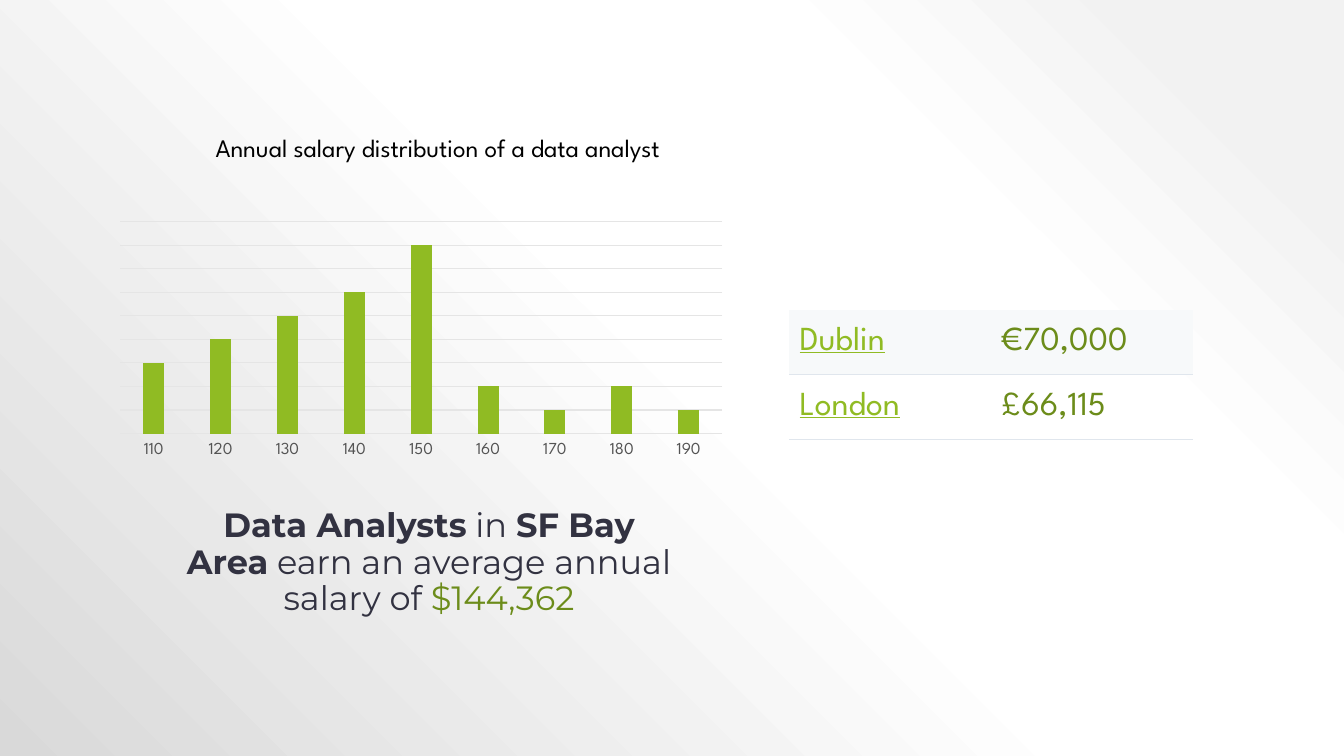
from dataclasses import dataclass

from lxml import etree
from pptx import Presentation
from pptx.chart.chart import Chart
from pptx.chart.data import CategoryChartData
from pptx.dml.color import RGBColor
from pptx.enum.chart import XL_CHART_TYPE, XL_TICK_LABEL_POSITION, XL_TICK_MARK
from pptx.enum.text import MSO_ANCHOR, MSO_AUTO_SIZE, PP_ALIGN
from pptx.oxml import parse_xml
from pptx.oxml.ns import qn
from pptx.slide import Slide
from pptx.table import _Cell
from pptx.util import Inches, Pt

COLUMN = XL_CHART_TYPE.COLUMN_CLUSTERED
NO_TICK = XL_TICK_MARK.NONE
LOW = XL_TICK_LABEL_POSITION.LOW
MIDDLE = MSO_ANCHOR.MIDDLE
CENTER = PP_ALIGN.CENTER
GROW = MSO_AUTO_SIZE.SHAPE_TO_FIT_TEXT

HEX = {
    "lime": "90BB23", "olive": "6C8C1A", "ink": "323241", "gray": "545454",
    "black": "000000", "grid": "E5E5E5", "rule": "E0E6ED", "band": "F7F9FA",
}
SPARTAN = "League Spartan"
MONT = "Montserrat"

BACK_STOPS = ((10, "F2F2F2"), (28, "FFFFFF"), (48, "FFFFFF"), (100, "D9D9D9"))
SALARY_COUNTS = {
    "110": 3, "120": 4, "130": 5, "140": 6, "150": 8,
    "160": 2, "170": 1, "180": 2, "190": 1,
}


@dataclass
class Run:
    text: str
    color: str = "ink"
    bold: bool = False


@dataclass
class City:
    name: str
    pay: str


CITIES = (City("Dublin", "€70,000"), City("London", "£66,115"))
SUMMARY = (
    Run("Data Analysts", bold=True),
    Run(" in "),
    Run("SF Bay Area", bold=True),
    Run(" earn an average annual salary of "),
    Run("$144,362", "olive"),
)


def rgb(name: str) -> RGBColor:
    return RGBColor.from_string(HEX[name])


def set_all(target: object, values: dict) -> None:
    for key, value in values.items():
        setattr(target, key, value)


def set_font(font: object, color: str, **values: object) -> None:
    set_all(font, values)
    font.color.rgb = rgb(color)


def set_line(line: object, color: str) -> None:
    line.width = Pt(0.75)
    line.color.rgb = rgb(color)


def add_back(slide: Slide) -> None:
    """Fill the slide with a gradient that spreads from its top right corner."""
    stops = "".join(
        f'<a:gs pos="{at * 1000}"><a:srgbClr val="{color}"/></a:gs>'
        for at, color in BACK_STOPS
    )
    back = parse_xml(
        '<p:bg xmlns:p="http://schemas.openxmlformats.org/presentationml/2006/main"'
        ' xmlns:a="http://schemas.openxmlformats.org/drawingml/2006/main">'
        f'<p:bgPr><a:gradFill rotWithShape="1"><a:gsLst>{stops}</a:gsLst>'
        '<a:path path="circle"><a:fillToRect l="100000" b="100000"/></a:path>'
        "</a:gradFill><a:effectLst/></p:bgPr></p:bg>"
    )
    slide.element.cSld.insert(0, back)


def place(parent: object, spots: dict, inner: bool = False) -> None:
    """Give a chart part a manual layout in fractions of the chart."""
    layout = parent.find(qn("c:layout"))
    if layout is None:
        layout = etree.Element(qn("c:layout"))
        text = parent.find(qn("c:tx"))
        parent.insert(0 if text is None else 1, layout)
    manual = etree.SubElement(layout, qn("c:manualLayout"))
    values = {"layoutTarget": "inner"} if inner else {}
    values |= {"xMode": "edge", "yMode": "edge"} | spots
    for tag, value in values.items():
        etree.SubElement(manual, qn(f"c:{tag}")).set("val", str(value))


def add_title(chart: Chart) -> None:
    chart.has_title = True
    title = chart.chart_title
    para = title.text_frame.paragraphs[0]
    run = para.add_run()
    run.text = "Annual salary distribution of a data analyst"
    set_font(run.font, "black", name=SPARTAN, size=Pt(18), bold=False)
    title.include_in_layout = False
    place(title._element, {"x": 0.16, "y": 0.04})


def add_chart(slide: Slide) -> None:
    data = CategoryChartData()
    data.categories = list(SALARY_COUNTS)
    data.add_series("Series 1", list(SALARY_COUNTS.values()))
    box = map(Inches, (1.08, 1.17, 6.33, 3.58))
    chart = slide.shapes.add_chart(COLUMN, *box, data).chart
    chart.has_legend = False
    set_font(chart.font, "gray", name=SPARTAN, size=Pt(10))
    add_title(chart)

    plot = chart.plots[0]
    set_all(plot, {"gap_width": 219, "overlap": -27, "vary_by_categories": False})
    fill = plot.series[0].format.fill
    fill.solid()
    fill.fore_color.rgb = rgb("lime")

    base = chart.category_axis
    set_all(base, {"major_tick_mark": NO_TICK, "minor_tick_mark": NO_TICK,
                   "tick_label_position": LOW})
    set_font(base.tick_labels.font, "gray", name=SPARTAN, size=Pt(12))
    set_line(base.format.line, "grid")

    scale = chart.value_axis
    set_all(scale, {"minimum_scale": 0, "maximum_scale": 9, "major_unit": 1,
                    "has_major_gridlines": True, "visible": False})
    set_line(scale.major_gridlines.format.line, "grid")
    area = chart._chartSpace.chart.plotArea
    place(area, {"x": 0.018, "y": 0.288, "w": 0.943, "h": 0.587}, inner=True)


def set_edges(cell: _Cell, ruled: str) -> None:
    """Rule the sides named in ruled and clear the other ones."""
    props = cell._tc.get_or_add_tcPr()
    for side in "LRTB":
        edge = etree.SubElement(props, qn(f"a:ln{side}"), w=str(Pt(0.75)))
        if side in ruled:
            paint = etree.SubElement(edge, qn("a:solidFill"))
            etree.SubElement(paint, qn("a:srgbClr"), val=HEX["rule"])
        else:
            etree.SubElement(edge, qn("a:noFill"))


def add_table(slide: Slide) -> None:
    box = map(Inches, (7.83, 3.08, 4, 1.28))
    table = slide.shapes.add_table(len(CITIES), 2, *box).table
    set_all(table, {"first_row": False, "horz_banding": False})
    for row, city in enumerate(CITIES):
        looks = ((city.name, "lime", True), (city.pay, "olive", False))
        for col, (text, color, under) in enumerate(looks):
            cell = table.cell(row, col)
            cell.vertical_anchor = MIDDLE
            set_edges(cell, "TB" if row else "B")
            if row:
                cell.fill.background()
            else:
                cell.fill.solid()
                cell.fill.fore_color.rgb = rgb("band")
            run = cell.text_frame.paragraphs[0].add_run()
            run.text = text
            set_font(run.font, color, name=SPARTAN, size=Pt(24), underline=under)


def add_summary(slide: Slide) -> None:
    box = map(Inches, (1.68, 5, 5.15, 1.56))
    frame = slide.shapes.add_textbox(*box).text_frame
    set_all(frame, {"word_wrap": True, "auto_size": GROW})
    para = frame.paragraphs[0]
    set_all(para, {"alignment": CENTER, "line_spacing": 0.9})
    for part in SUMMARY:
        run = para.add_run()
        run.text = part.text
        set_font(run.font, part.color, name=MONT, size=Pt(24), bold=part.bold)


def main() -> None:
    deck = Presentation()
    set_all(deck, {"slide_width": Inches(13.33), "slide_height": Inches(7.5)})
    slide = deck.slides.add_slide(deck.slide_layouts[6])
    add_back(slide)
    add_table(slide)
    add_chart(slide)
    add_summary(slide)
    deck.save("out.pptx")


if __name__ == "__main__":
    main()
